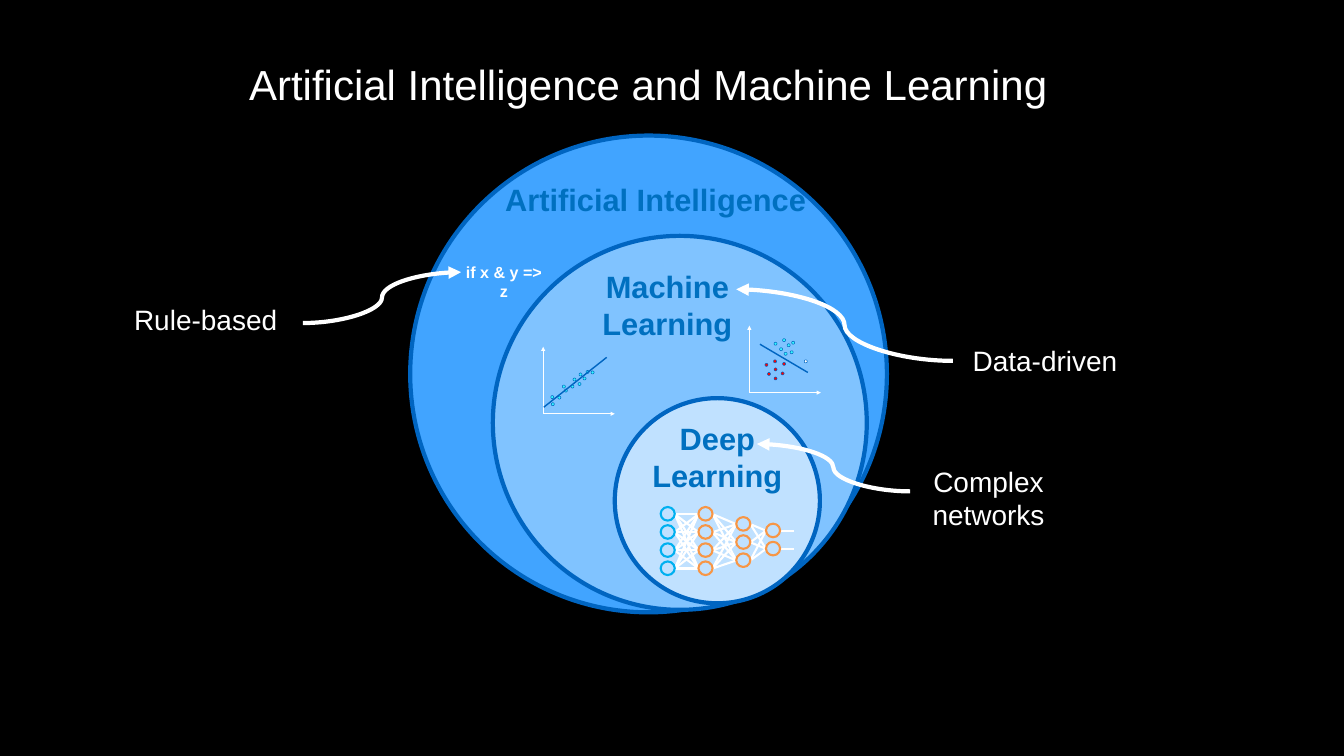
from itertools import product

from lxml import etree
from pptx import Presentation
from pptx.dml.color import RGBColor
from pptx.enum.shapes import MSO_CONNECTOR, MSO_SHAPE
from pptx.enum.text import MSO_ANCHOR, PP_ALIGN
from pptx.oxml.ns import qn
from pptx.util import Pt

PX = 9144  # 100 px to the inch
STRAIGHT, CURVE = MSO_CONNECTOR.STRAIGHT, MSO_CONNECTOR.CURVE
OVAL = MSO_SHAPE.OVAL
CENTER = PP_ALIGN.CENTER
TOP, MIDDLE = MSO_ANCHOR.TOP, MSO_ANCHOR.MIDDLE

COLORS = {
    "black": "000000", "white": "FFFFFF", "heading": "0070C0",
    "outer": "41A4FF", "middle": "80C3FF", "inner": "C0E1FF",
    "rim": "0065C1", "dot rim": "0063BD", "cyan": "34F8FF", "red": "FF0000",
    "input": "00B0F0", "neuron": "F79646",
}

# Nested fields: left, top, diameter, fill
FIELDS = [(814, 269, 946, "outer"), (978, 468, 742, "middle"), (1220, 790, 407, "inner")]

# Labels: lines, (left, top, width, height), size, color, bold, wrap
TITLE = (["Artificial Intelligence and Machine Learning"],
         (481, 111, 1611, 112), 60, "white", False, False)
HEADINGS = [
    (["Artificial Intelligence"], (978, 354, 647, 84), 44, "heading", True, True),
    (["Machine Learning"], (1163, 527, 323, 158), 44, "heading", True, True),
    (["Deep Learning"], (1253, 827, 341, 158), 44, "heading", True, True),
]
NOTES = [
    (["Rule-based"], (253, 596, 310, 77), 40, "white", False, False),
    (["Data-driven"], (1917, 676, 313, 77), 40, "white", False, False),
    (["Complex", "networks"], (1839, 916, 245, 145), 40, "white", False, False),
    (["if x & y => z"], (905, 515, 190, 49), 23, "white", True, True),
]
NOTE_ARROWS = [(601, 641, 915, 540), (1806, 975, 1502, 881), (1891, 716, 1461, 574)]

# Small plots: axis origin, dividing line, dots by color
DOT = 6
PLOTS = [
    {"origin": (1487, 779), "line": (1508, 683, 1603, 739), "dots": {
        "cyan": [(1553, 672), (1562, 682), (1547, 690), (1568, 696),
                 (1571, 677), (1536, 679), (1556, 699)],
        "red": [(1535, 714), (1536, 748), (1536, 730), (1550, 738),
                (1553, 719), (1518, 721), (1523, 739)],
        "white": [(1596, 714)]}},
    {"origin": (1078, 821), "line": (1079, 808, 1204, 709), "dots": {
        "cyan": [(1173, 736), (1163, 735), (1133, 764), (1149, 740),
                 (1157, 748), (1137, 750), (1120, 772), (1107, 786),
                 (1116, 764), (1147, 759), (1093, 785), (1094, 799)]}},
]
AXIS_HEIGHT, AXIS_WIDTH = 133, 142

# Neural network layers: left, top, node count, color
LAYERS = [(1311, 1006, 4, "input"), (1386, 1006, 4, "neuron"),
          (1461, 1026, 3, "neuron"), (1520, 1039, 2, "neuron")]
NODE_WIDTH, NODE_HEIGHT, NODE_STEP, OUTPUT_LENGTH = 28, 27, 36, 27


def rgb(name):
    return RGBColor.from_string(COLORS[name])


def add_circle(shapes, left, top, width, height, fill, rim, weight):
    circle = shapes.add_shape(OVAL, left * PX, top * PX, width * PX, height * PX)
    circle.shadow.inherit = False
    if fill:
        circle.fill.solid()
        circle.fill.fore_color.rgb = rgb(fill)
    else:
        circle.fill.background()
    circle.line.color.rgb = rgb(rim)
    circle.line.width = Pt(weight)


def add_line(shapes, ends, color, weight, arrow=False, kind=STRAIGHT):
    line = shapes.add_connector(kind, *(value * PX for value in ends))
    line.line.color.rgb = rgb(color)
    line.line.width = Pt(weight)
    properties = line._element.spPr
    if arrow:
        etree.SubElement(properties.find(qn("a:ln")), qn("a:tailEnd"), type="triangle")
    etree.SubElement(properties, qn("a:effectLst"))


def add_label(shapes, label, inset=(10, 5), anchor=TOP):
    lines, box, size, color, bold, wrap = label
    frame = shapes.add_textbox(*(value * PX for value in box)).text_frame
    frame.word_wrap = wrap
    frame.vertical_anchor = anchor
    frame.margin_left = frame.margin_right = inset[0] * PX
    frame.margin_top = frame.margin_bottom = inset[1] * PX
    frame.text = "\n".join(lines)
    for paragraph in frame.paragraphs:
        paragraph.alignment = CENTER
        paragraph.font.name = "Arial"
        paragraph.font.size = Pt(size)
        paragraph.font.bold = bold
        paragraph.font.color.rgb = rgb(color)


def add_plot(shapes, plot):
    x, y = plot["origin"]
    add_line(shapes, (x, y, x, y - AXIS_HEIGHT), "white", 2, arrow=True)
    add_line(shapes, (x, y, x + AXIS_WIDTH, y), "white", 2, arrow=True)
    for color, dots in plot["dots"].items():
        for left, top in dots:
            add_circle(shapes, left, top, DOT, DOT, color, "dot rim", 0.75)
    add_line(shapes, plot["line"], "rim", 2)


def add_network(shapes):
    layers = [(left, [top + NODE_STEP * row for row in range(count)], color)
              for left, top, count, color in LAYERS]
    middle = NODE_HEIGHT // 2 + 1
    # Every node is joined to every node of the next layer
    for (left, tops, _), (next_left, next_tops, _) in zip(layers, layers[1:]):
        for start, end in product(tops, next_tops):
            add_line(shapes, (left + NODE_WIDTH, start + middle, next_left, end + middle),
                     "white", 3)
    # Outputs of the last layer
    last_left, last_tops, _ = layers[-1]
    right = last_left + NODE_WIDTH
    for top in last_tops:
        add_line(shapes, (right, top + middle, right + OUTPUT_LENGTH, top + middle), "white", 3)
    for left, tops, color in layers:
        for top in tops:
            add_circle(shapes, left, top, NODE_WIDTH, NODE_HEIGHT, None, color, 3)


def main():
    deck = Presentation()
    deck.slide_width, deck.slide_height = 2667 * PX, 1500 * PX
    slide = deck.slides.add_slide(deck.slide_layouts[6])
    slide.background.fill.solid()
    slide.background.fill.fore_color.rgb = rgb("black")
    shapes = slide.shapes

    # Title, nested fields and their headings
    add_label(shapes, TITLE, inset=(6, 6), anchor=MIDDLE)
    for left, top, diameter, fill in FIELDS:
        add_circle(shapes, left, top, diameter, diameter, fill, "rim", 6)
    for heading in HEADINGS:
        add_label(shapes, heading)

    # Illustrations inside the fields
    for plot in PLOTS:
        add_plot(shapes.add_group_shape().shapes, plot)
    add_network(shapes.add_group_shape().shapes)

    # Side notes
    for arrow in NOTE_ARROWS:
        add_line(shapes, arrow, "white", 6, arrow=True, kind=CURVE)
    for note in NOTES:
        add_label(shapes, note)

    deck.save("out.pptx")


if __name__ == "__main__":
    main()
